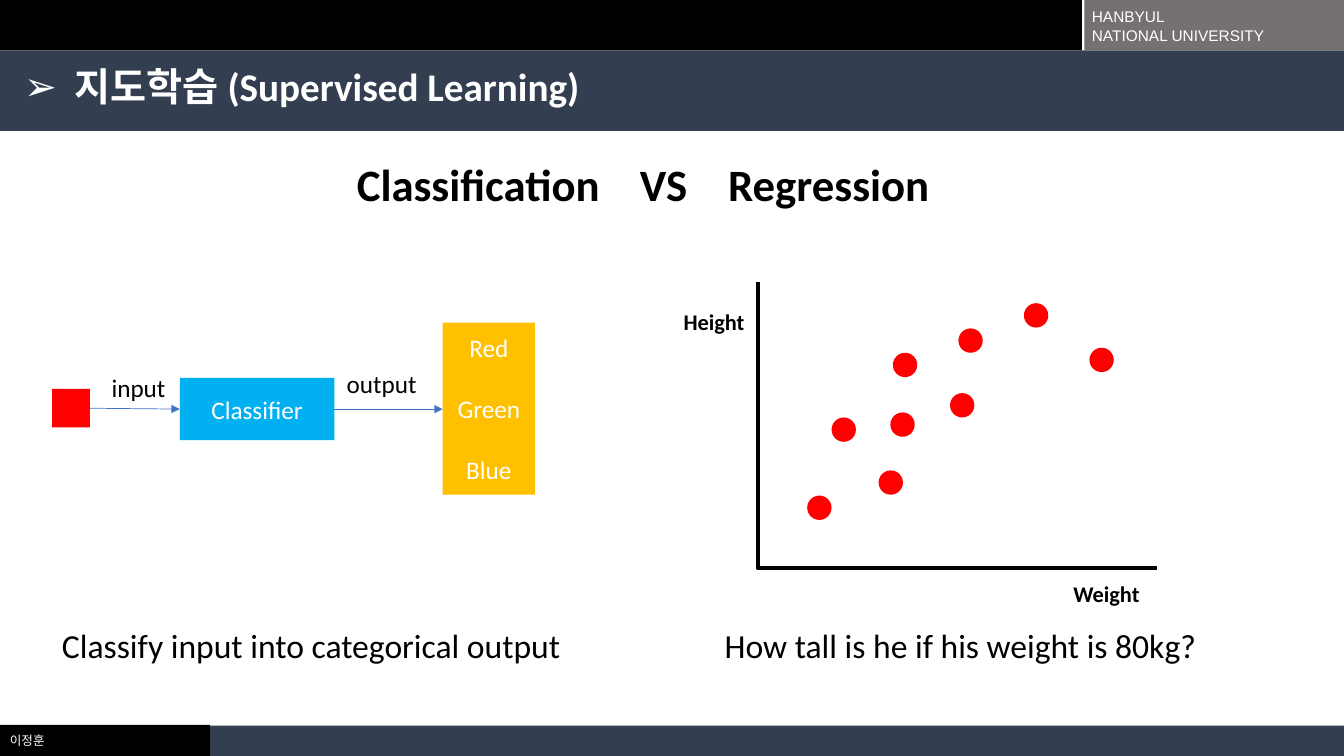
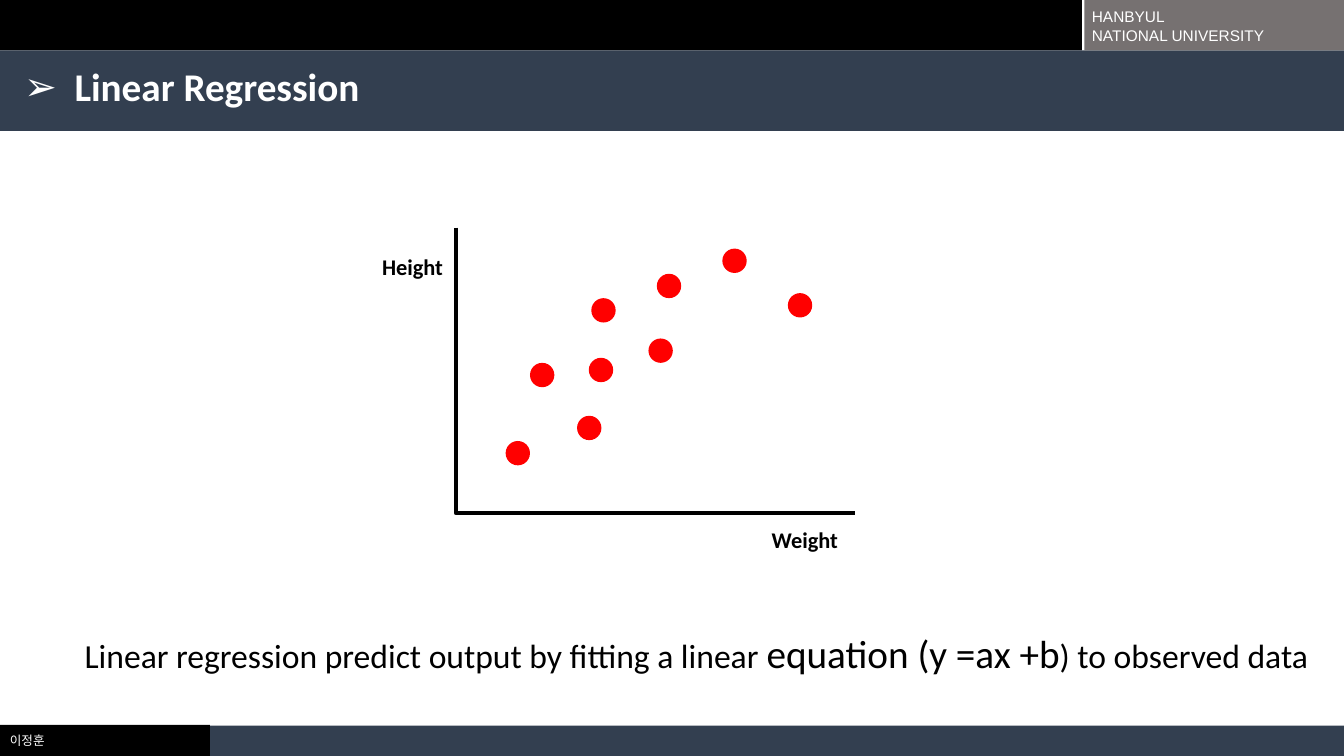
from lxml.etree import SubElement
from pptx import Presentation
from pptx.dml.color import RGBColor
from pptx.enum.shapes import MSO_CONNECTOR, MSO_SHAPE
from pptx.enum.text import MSO_ANCHOR, PP_ALIGN
from pptx.oxml.ns import qn
from pptx.util import Emu, Pt

# Grid of 160 columns by 90 rows, filling a 13.33 x 7.5 inch slide
COLUMNS, ROWS = 160, 90
CELL = 76200

BLACK, WHITE, NAVY, GREY = "000000", "FFFFFF", "333F50", "767171"
RED, SKY, AMBER, BLUE = "FF0000", "00B0F0", "FFC000", "4472C4"

# Text formats
BODY = {"name": "Calibri", "size": Pt(24), "bold": False, "color": BLACK}
TITLE = BODY | {"size": Pt(28), "bold": True, "color": WHITE}
HEADING = BODY | {"size": Pt(32), "bold": True}
EMPHASIS = BODY | {"size": Pt(28)}
ARROW_LABEL = BODY | {"size": Pt(18)}
BOX_LABEL = ARROW_LABEL | {"color": WHITE}
AXIS_LABEL = BODY | {"size": Pt(16), "bold": True}
INSTITUTION = BODY | {"name": "Arial", "size": Pt(11), "color": WHITE}
AUTHOR = INSTITUTION | {"size": Pt(9)}

# Bands on every slide: left, top, width, height, colour
BANDS = [
    (0, 86.3, 25, 3.7, BLACK),
    (25, 86.4, 135, 3.6, NAVY),
    (0, 0, 128.8, 6, BLACK),
    (0, 6, COLUMNS, 9.6, NAVY),
    (129.1, 0, 30.9, 6, GREY),
]

# Observations, as columns and rows from the top of the height axis
OBSERVATIONS = [
    (5.9, 25.4), (8.8, 16.1), (14.4, 22.4), (16.1, 8.4), (15.8, 15.5),
    (23.9, 5.5), (22.9, 13.2), (31.7, 2.5), (39.5, 7.8),
]
DOT = 2.9
AXIS_HEIGHT, AXIS_WIDTH = 34, 47.5


def grid(*cells):
    return [Emu(round(cell * CELL)) for cell in cells]


def rgb(colour):
    return RGBColor.from_string(colour)


def write(frame, paragraphs, style, align=PP_ALIGN.LEFT, gap=0):
    """Each paragraph is a string or a list of (string, style) runs."""
    frame.word_wrap = True
    for index, content in enumerate(paragraphs):
        paragraph = frame.paragraphs[0] if index == 0 else frame.add_paragraph()
        paragraph.alignment = align
        if index:
            paragraph.space_before = Pt(gap)
        runs = [(content, style)] if isinstance(content, str) else content
        for words, values in runs:
            run = paragraph.add_run()
            run.text = words
            for name, value in values.items():
                if name == "color":
                    run.font.color.rgb = rgb(value)
                else:
                    setattr(run.font, name, value)


def add_text(slide, area, paragraphs, style, anchor=MSO_ANCHOR.TOP):
    frame = slide.shapes.add_textbox(*grid(*area)).text_frame
    frame.vertical_anchor = anchor
    write(frame, paragraphs, style)
    return frame.paragraphs[0]


def add_block(slide, area, colour, kind=MSO_SHAPE.RECTANGLE, labels=(), gap=0):
    block = slide.shapes.add_shape(kind, *grid(*area))
    block.shadow.inherit = False
    block.fill.solid()
    block.fill.fore_color.rgb = rgb(colour)
    block.line.fill.background()
    block.text_frame.vertical_anchor = MSO_ANCHOR.MIDDLE
    write(block.text_frame, labels, BOX_LABEL, PP_ALIGN.CENTER, gap)


def add_arrow(slide, start, end):
    arrow = slide.shapes.add_connector(
        MSO_CONNECTOR.STRAIGHT, *grid(*start, *end))
    arrow.line.color.rgb = rgb(BLUE)
    arrow.line.width = Pt(0.5)
    properties = arrow.line._get_or_add_ln()
    SubElement(properties, qn("a:tailEnd"), type="triangle")
    SubElement(arrow._element.spPr, qn("a:effectLst"))


def add_title(slide, title):
    paragraph = add_text(slide, (1.7, 7.3, 103.4, 6.6), [title], TITLE,
                         MSO_ANCHOR.MIDDLE)
    paragraph.line_spacing = 0.9
    properties = paragraph._p.get_or_add_pPr()
    indent = Pt(36)
    properties.set("marL", str(indent))
    properties.set("indent", str(-indent))
    SubElement(properties, qn("a:buFont"), typeface="Arial")
    SubElement(properties, qn("a:buChar"), char="➢")


def add_heading(slide, area, words, stops):
    """Set the words on one line, each after the first at a tab stop."""
    paragraph = add_text(slide, area, ["\t".join(words)], HEADING)
    tabs = SubElement(paragraph._p.get_or_add_pPr(), qn("a:tabLst"))
    for stop in grid(*stops):
        SubElement(tabs, qn("a:tab"), pos=str(stop), algn="l")


def add_scatter(slide, left, top):
    # Axes in one stroke
    corners = [grid(left, top + AXIS_HEIGHT),
               grid(left + AXIS_WIDTH, top + AXIS_HEIGHT)]
    outline = slide.shapes.build_freeform(*grid(left, top))
    outline.add_line_segments(corners, close=False)
    axes = outline.convert_to_shape()
    axes.shadow.inherit = False
    axes.fill.background()
    axes.line.color.rgb = rgb(BLACK)
    axes.line.width = Pt(3)

    # Observations and axis names
    for x, y in OBSERVATIONS:
        add_block(slide, (left + x, top + y, DOT, DOT), RED, MSO_SHAPE.OVAL)
    add_text(slide, (left - 10, top + 2.5, 12.6, 4.4), ["Height"], AXIS_LABEL)
    add_text(slide, (left + 36.4, top + 34.9, 13, 4.4), ["Weight"], AXIS_LABEL)


def add_page(deck, title):
    slide = deck.slides.add_slide(deck.slide_layouts[6])
    for *area, colour in BANDS:
        add_block(slide, area, colour)
    add_text(slide, (128.8, 1.3, 24.4, 3.6), ["HANBYUL", "NATIONAL UNIVERSITY"],
             INSTITUTION, MSO_ANCHOR.MIDDLE)
    add_text(slide, (0, 86.4, 11, 3.5), ["이정훈"], AUTHOR, MSO_ANCHOR.MIDDLE)
    add_title(slide, title)
    return slide


def add_supervised_learning(deck):
    slide = add_page(deck, "지도학습 (Supervised Learning)")
    add_heading(slide, (41.3, 18.1, 74, 7.7),
                ["Classification", "VS", "Regression"], (33.7, 44.2))

    # Classification flow
    flow = 48.7
    add_block(slide, (6.2, 46.3, 4.5, 4.6), RED)
    add_arrow(slide, (10.7, 48.6), (21.4, flow))
    add_block(slide, (21.4, 45, 18.4, 7.4), SKY, labels=["Classifier"])
    add_arrow(slide, (39.8, flow), (52.7, flow))
    add_block(slide, (52.7, 38.4, 11, 20.5), AMBER,
              labels=["Red", "Green", "Blue"], gap=22)
    add_text(slide, (12.1, 43.7, 10, 4.8), ["input"], ARROW_LABEL)
    add_text(slide, (40.1, 43.3, 12, 4.8), ["output"], ARROW_LABEL)
    add_text(slide, (6.2, 73.8, 64, 6),
             ["Classify input into categorical output"], BODY)

    # Regression example
    add_scatter(slide, 90.2, 33.6)
    add_text(slide, (85.1, 73.8, 61, 6),
             ["How tall is he if his weight is 80kg?"], BODY)


def add_linear_regression(deck):
    slide = add_page(deck, "Linear Regression")
    add_scatter(slide, 54.3, 27.1)
    add_text(slide, (8.9, 74.3, 151, 6.8), [[
        ("Linear regression predict output by fitting a linear ", BODY),
        ("equation (y =ax +b", EMPHASIS),
        (") to observed data", BODY),
    ]], BODY)


def main():
    deck = Presentation()
    deck.slide_width, deck.slide_height = grid(COLUMNS, ROWS)
    add_supervised_learning(deck)
    add_linear_regression(deck)
    deck.save("out.pptx")


if __name__ == "__main__":
    main()
